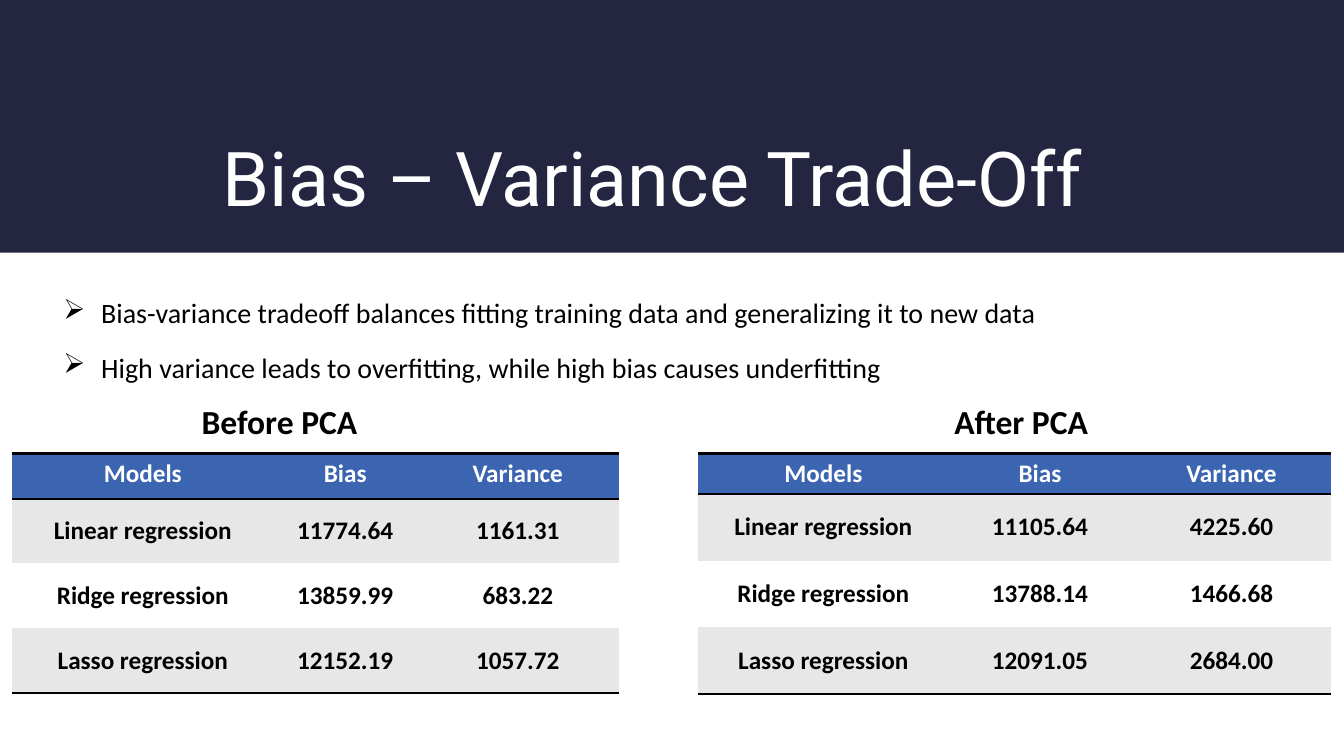
from dataclasses import dataclass

from lxml.etree import SubElement
from pptx import Presentation
from pptx.dml.color import RGBColor as RGB
from pptx.enum.shapes import MSO_SHAPE as Shape
from pptx.enum.text import MSO_ANCHOR as Anchor, PP_ALIGN as Align
from pptx.oxml import parse_xml
from pptx.oxml.ns import nsdecls, qn
from pptx.util import Cm, Pt

TITLE = "Bias – Variance Trade-Off"
POINTS = [
    "Bias-variance tradeoff balances fitting training data and generalizing it to new data",
    "High variance leads to overfitting, while high bias causes underfitting",
]
HEADER = ("Models", "Bias", "Variance")
RESULTS = [
    {
        "caption": "Before PCA", "caption_left": 4.83, "caption_width": 5.23,
        "left": 0.3, "columns": (6.6, 3.6, 5.1), "header_height": 1.14, "row_height": 1.63,
        "rows": [
            ("Linear regression", "11774.64", "1161.31"),
            ("Ridge regression", "13859.99", "683.22"),
            ("Lasso regression", "12152.19", "1057.72"),
        ],
    },
    {
        "caption": "After PCA", "caption_left": 23.8, "caption_width": 4.57,
        "left": 17.6, "columns": (6.3, 4.62, 5.03), "header_height": 0.97, "row_height": 1.68,
        "rows": [
            ("Linear regression", "11105.64", "4225.60"),
            ("Ridge regression", "13788.14", "1466.68"),
            ("Lasso regression", "12091.05", "2684.00"),
        ],
    },
]


@dataclass(frozen=True)
class Theme:
    navy: str = "242641"
    blue: str = "3B64B1"
    grey: str = "E7E7E7"
    white: str = "FFFFFF"
    black: str = "000000"
    title_font: str = "Roboto"
    body_font: str = "Calibri"
    title_size: int = 54
    caption_size: int = 24
    point_size: int = 20
    cell_size: int = 18
    rule: int = 2
    plain_table: str = "{2D5ABB26-0587-4C30-8999-92F81FD0307C}"


THEME = Theme()
WIDTH, HEIGHT = 33.87, 19.05
BAND_HEIGHT = 6.37
TEXT_LEFT, TEXT_WIDTH = 1.35, 30.2
CAPTION_TOP, CAPTION_HEIGHT = 9.98, 1.27
TABLE_TOP = 11.43
INDENT = 0.95


def style(paragraph, size, color, font=THEME.body_font, bold=False):
    for run in paragraph.runs:
        run.font.name = font
        run.font.size = Pt(size)
        run.font.bold = bold
        run.font.color.rgb = RGB.from_string(color)


def add_text(slide, lines, left, top, width, height, wrap=True):
    box = slide.shapes.add_textbox(Cm(left), Cm(top), Cm(width), Cm(height))
    frame = box.text_frame
    frame.text = "\n".join(lines)
    frame.word_wrap = wrap
    return frame


def add_band(slide):
    band = slide.shapes.add_shape(Shape.RECTANGLE, 0, 0, Cm(WIDTH), Cm(BAND_HEIGHT))
    band.shadow.inherit = False
    band.fill.solid()
    band.fill.fore_color.rgb = RGB.from_string(THEME.navy)
    band.line.fill.background()


def add_title(slide):
    frame = add_text(slide, [TITLE], TEXT_LEFT, 1.02, TEXT_WIDTH, 4.7)
    frame.vertical_anchor = Anchor.BOTTOM
    heading = frame.paragraphs[0]
    heading.alignment = Align.CENTER
    style(heading, THEME.title_size, THEME.white, THEME.title_font)


def add_points(slide):
    frame = add_text(slide, POINTS, TEXT_LEFT, 7.16, TEXT_WIDTH, 2.82)
    for point in frame.paragraphs:
        point.line_spacing = 1.2
        point.space_before = Pt(10)
        style(point, THEME.point_size, THEME.black)
        properties = point._p.get_or_add_pPr()
        properties.set("marL", str(Cm(INDENT)))
        properties.set("indent", str(-Cm(INDENT)))
        SubElement(properties, qn("a:buChar")).set("char", "➢")


def add_rules(cell, edges):
    properties = cell._tc.get_or_add_tcPr()
    for position, edge in enumerate(edges):
        properties.insert(position, parse_xml(
            f'<a:ln{edge} {nsdecls("a")} w="{Pt(THEME.rule)}"><a:solidFill>'
            f'<a:srgbClr val="{THEME.black}"/></a:solidFill></a:ln{edge}>'))


def add_result(slide, result):
    caption = add_text(slide, [result["caption"]], result["caption_left"], CAPTION_TOP,
                       result["caption_width"], CAPTION_HEIGHT, wrap=False)
    style(caption.paragraphs[0], THEME.caption_size, THEME.black, bold=True)

    rows = [HEADER, *result["rows"]]
    heights = [result["header_height"]] + [result["row_height"]] * len(result["rows"])
    table = slide.shapes.add_table(
        len(rows), len(HEADER), Cm(result["left"]), Cm(TABLE_TOP),
        Cm(sum(result["columns"])), Cm(sum(heights))).table
    table._tbl.tblPr.find(qn("a:tableStyleId")).text = THEME.plain_table
    table.horz_banding = False
    for column, width in zip(table.columns, result["columns"]):
        column.width = Cm(width)

    for r, (row, height) in enumerate(zip(rows, heights)):
        table.rows[r].height = Cm(height)
        is_header, is_last = r == 0, r == len(rows) - 1
        fill = THEME.blue if is_header else THEME.grey if r % 2 else THEME.white
        for c, entry in enumerate(row):
            cell = table.cell(r, c)
            cell.text_frame.text = entry
            cell.vertical_anchor = Anchor.TOP if is_header else Anchor.MIDDLE
            cell.fill.solid()
            cell.fill.fore_color.rgb = RGB.from_string(fill)
            paragraph = cell.text_frame.paragraphs[0]
            paragraph.alignment = Align.CENTER
            style(paragraph, THEME.cell_size, THEME.white if is_header else THEME.black, bold=True)
            add_rules(cell, "TB" if is_header else "B" if is_last else "")


def main():
    deck = Presentation()
    deck.slide_width, deck.slide_height = Cm(WIDTH), Cm(HEIGHT)
    slide = deck.slides.add_slide(deck.slide_layouts[6])
    add_band(slide)
    add_title(slide)
    add_points(slide)
    for result in RESULTS:
        add_result(slide, result)
    deck.save("out.pptx")


if __name__ == "__main__":
    main()
